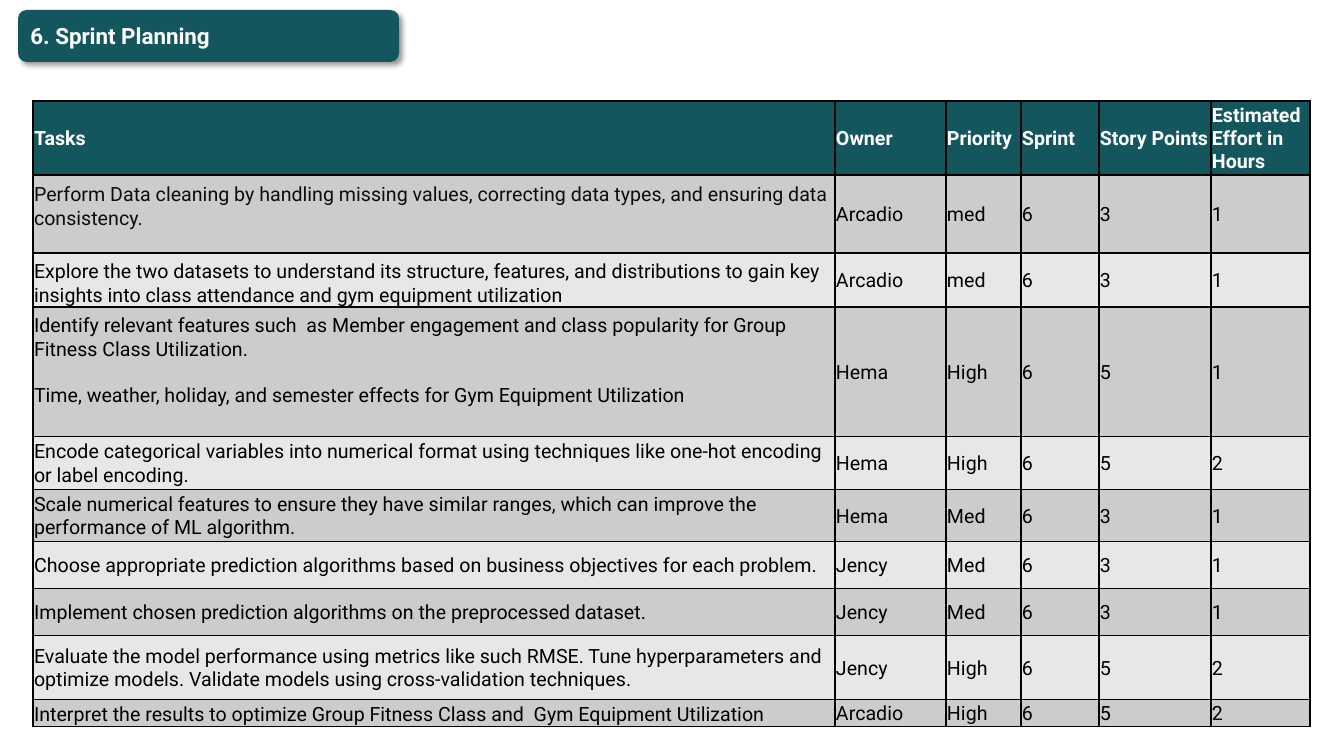
from lxml import etree
from pptx import Presentation
from pptx import util as u
from pptx.dml.color import RGBColor
from pptx.enum import shapes, text
from pptx.oxml.ns import qn

TEAL, WHITE, BLACK, NEAR_BLACK = "13565E", "FFFFFF", "000000", "0D0D0D"
BANDS = ("CCCCCC", "E7E7E7")
MIDDLE, BOTTOM = text.MSO_ANCHOR.MIDDLE, text.MSO_ANCHOR.BOTTOM
LINE = 23

COLUMN_WIDTHS = [802, 111, 75, 78, 112, 99]
ROW_HEIGHTS = [74, 78, 54, 130, 53, 52, 47, 47, 64, 27]
HEADINGS = ["Tasks", "Owner", "Priority", "Sprint", "Story Points", "Estimated Effort in Hours"]
TASKS = [
    ("Perform Data cleaning by handling missing values, correcting data types, "
     "and ensuring data consistency.", "Arcadio", "med", 6, 3, 1),
    ("Explore the two datasets to understand its structure, features, and distributions "
     "to gain key insights into class attendance and gym equipment utilization",
     "Arcadio", "med", 6, 3, 1),
    ("Identify relevant features such  as Member engagement and class popularity "
     "for Group Fitness Class Utilization.\n"
     "Time, weather, holiday, and semester effects for Gym Equipment Utilization",
     "Hema", "High", 6, 5, 1),
    ("Encode categorical variables into numerical format using techniques like "
     "one-hot encoding or label encoding.", "Hema", "High", 6, 5, 2),
    ("Scale numerical features to ensure they have similar ranges, which can improve "
     "the performance of ML algorithm.", "Hema", "Med", 6, 3, 1),
    ("Choose appropriate prediction algorithms based on business objectives "
     "for each problem.", "Jency", "Med", 6, 3, 1),
    ("Implement chosen prediction algorithms on the preprocessed dataset.",
     "Jency", "Med", 6, 3, 1),
    ("Evaluate the model performance using metrics like such RMSE. Tune hyperparameters "
     "and optimize models. Validate models using cross-validation techniques.",
     "Jency", "High", 6, 5, 2),
    ("Interpret the results to optimize Group Fitness Class and  Gym Equipment Utilization",
     "Arcadio", "High", 6, 5, 2),
]
# Task cells, by table row, that differ from the plain cell format
TASK_FORMATS = {
    1: {"vertical_anchor": BOTTOM, "margin_bottom": LINE, "color": NEAR_BLACK},
    2: {"vertical_anchor": BOTTOM},
    3: {"margin_bottom": LINE},
    9: {"vertical_anchor": BOTTOM},
}


def px(length):
    return u.Emu(round(length * 914400 / 100.8))


def rgb(value):
    return RGBColor.from_string(value)


def assign(target, values):
    for name, value in values.items():
        setattr(target, name, value)


def add_color(parent, value, alpha=None):
    """Append a colour element, with opacity in percent if given."""
    color = etree.SubElement(parent, qn("a:srgbClr"), val=value)
    if alpha is not None:
        etree.SubElement(color, qn("a:alpha"), val=str(alpha * 1000))


class SlideBuilder:
    def __init__(self, page, font):
        self.page = page
        self.font = font

    def set_words(self, frame, words, size, color, bold=False):
        frame.word_wrap = True
        frame.text = words
        for index, para in enumerate(frame.paragraphs):
            para.alignment = text.PP_ALIGN.LEFT
            if index:
                para.space_before = u.Pt(16.4)
            for span in para.runs:
                assign(span.font, {"name": self.font, "size": u.Pt(size), "bold": bold})
                span.font.color.rgb = rgb(color)

    def banner(self, left, top, width, height, words):
        box = self.page.shapes.add_shape(
            shapes.MSO_SHAPE.ROUNDED_RECTANGLE, *map(px, (left, top, width, height)))
        box.fill.solid()
        box.fill.fore_color.rgb = rgb(TEAL)
        box.line.fill.background()
        self.cast_shadow(box)
        box.text_frame.vertical_anchor = MIDDLE
        self.set_words(box.text_frame, words, 16, WHITE, bold=True)

    def cast_shadow(self, box):
        box.shadow.inherit = False
        effects = box._element.spPr.find(qn("a:effectLst"))
        shadow = etree.SubElement(
            effects, qn("a:outerShdw"), blurRad=str(u.Pt(4)), dist=str(u.Pt(3)),
            dir=str(45 * 60000), algn="tl", rotWithShape="0")
        add_color(shadow, BLACK, 40)

    def cell(self, cell, words, fill, color=BLACK, bold=False,
             vertical_anchor=MIDDLE, margin_bottom=0):
        assign(cell, {
            "margin_left": px(1), "margin_right": px(1), "margin_top": px(1),
            "margin_bottom": px(margin_bottom), "vertical_anchor": vertical_anchor})
        properties = cell._tc.get_or_add_tcPr()
        for side in ("lnL", "lnR", "lnT", "lnB"):
            border = etree.SubElement(properties, qn("a:" + side), w=str(u.Pt(1)))
            add_color(etree.SubElement(border, qn("a:solidFill")), BLACK)
        cell.fill.solid()
        cell.fill.fore_color.rgb = rgb(fill)
        self.set_words(cell.text_frame, words, 14, color, bold)

    def sprint_table(self, left, top):
        size = (sum(COLUMN_WIDTHS), sum(ROW_HEIGHTS))
        table = self.page.shapes.add_table(
            len(ROW_HEIGHTS), len(COLUMN_WIDTHS), *map(px, (left, top, *size))).table
        for column, width in zip(table.columns, COLUMN_WIDTHS):
            column.width = px(width)
        for row, height in zip(table.rows, ROW_HEIGHTS):
            row.height = px(height)
        for index, heading in enumerate(HEADINGS):
            self.cell(table.cell(0, index), heading, TEAL, WHITE, bold=True)
        for row, task in enumerate(TASKS, start=1):
            for column, value in enumerate(task):
                special = {} if column else TASK_FORMATS.get(row, {})
                self.cell(table.cell(row, column), str(value), BANDS[(row - 1) % 2], **special)


def main():
    deck = Presentation()
    assign(deck, {"slide_width": px(1344), "slide_height": px(756)})
    builder = SlideBuilder(deck.slides.add_slide(deck.slide_layouts[6]), "Roboto")
    builder.sprint_table(33, 101)
    builder.banner(18, 10, 381, 52, "6. Sprint Planning")
    deck.save("out.pptx")


if __name__ == "__main__":
    main()
